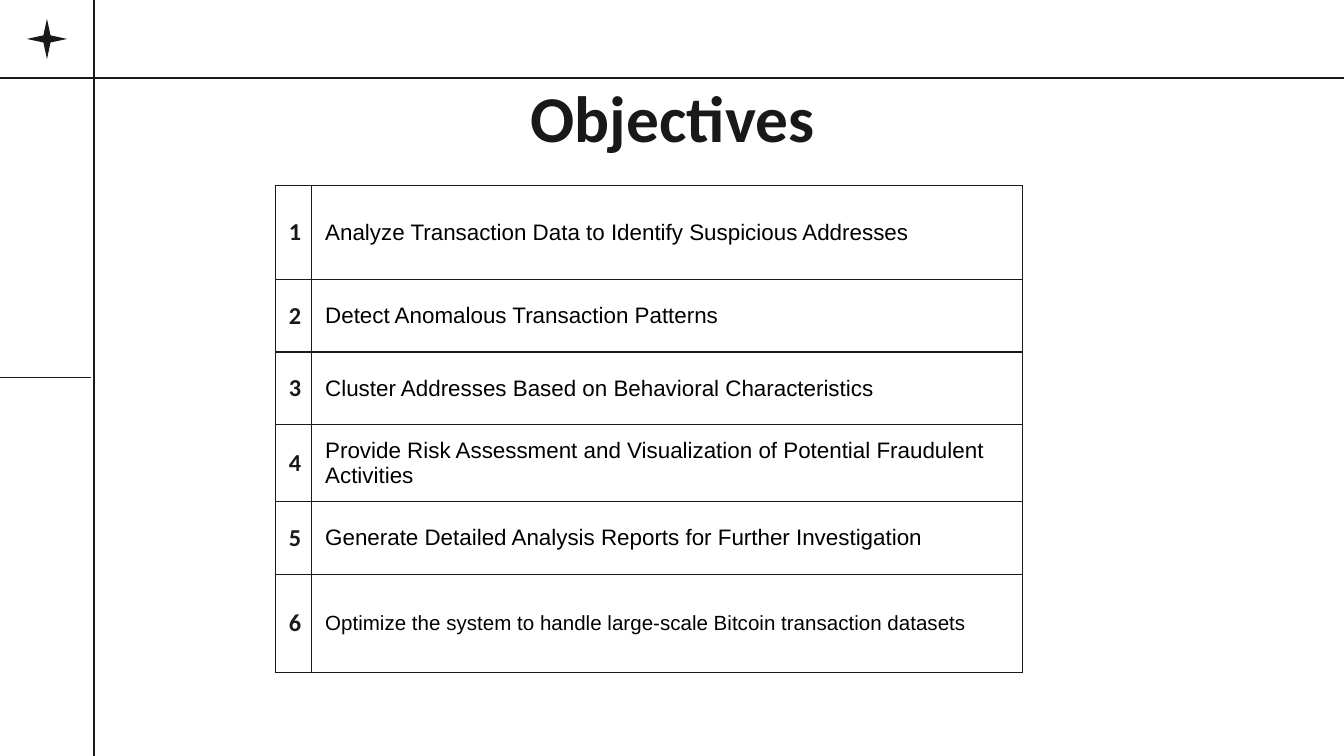
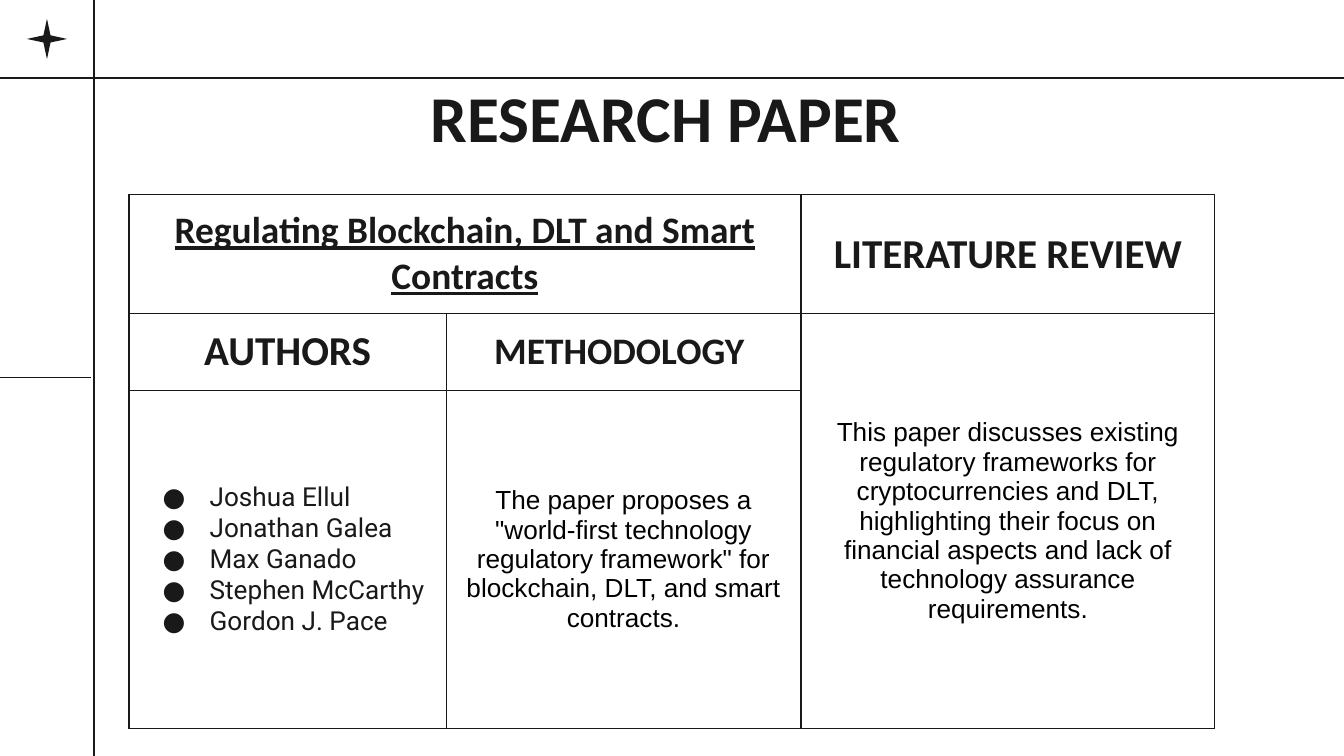
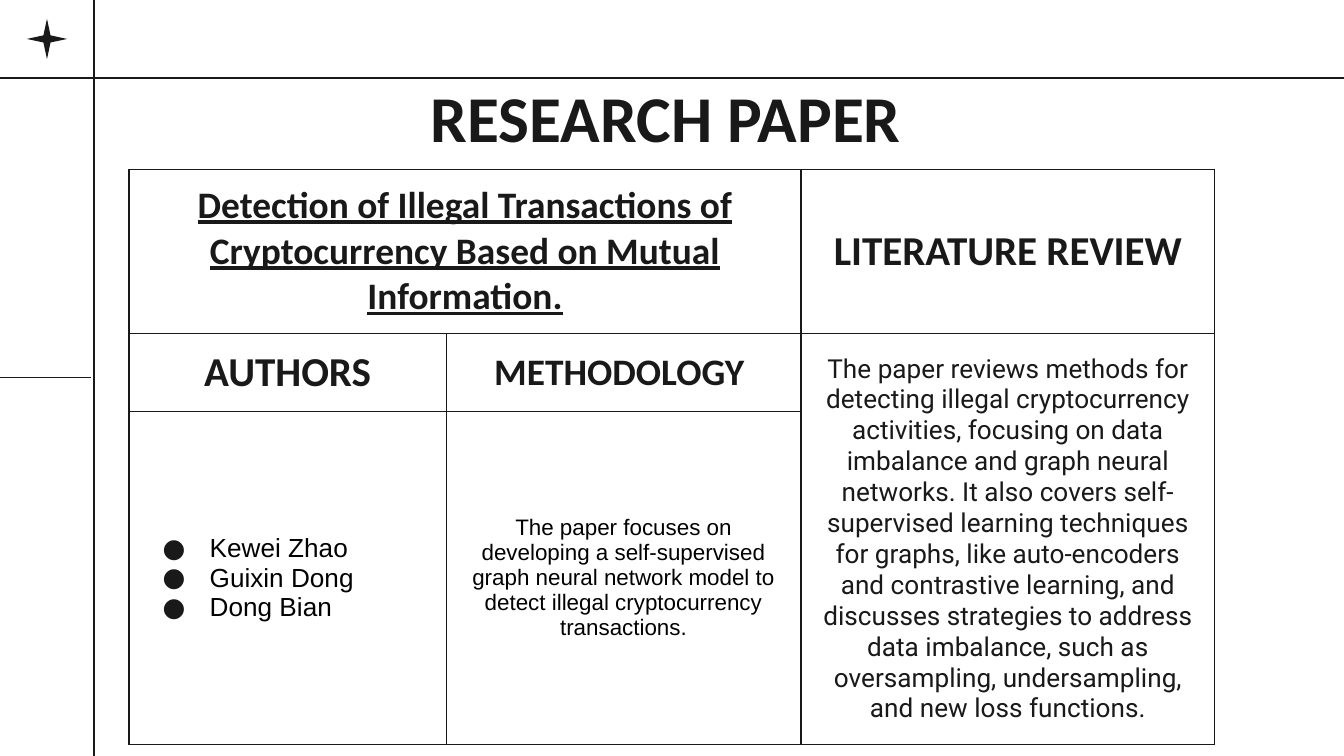
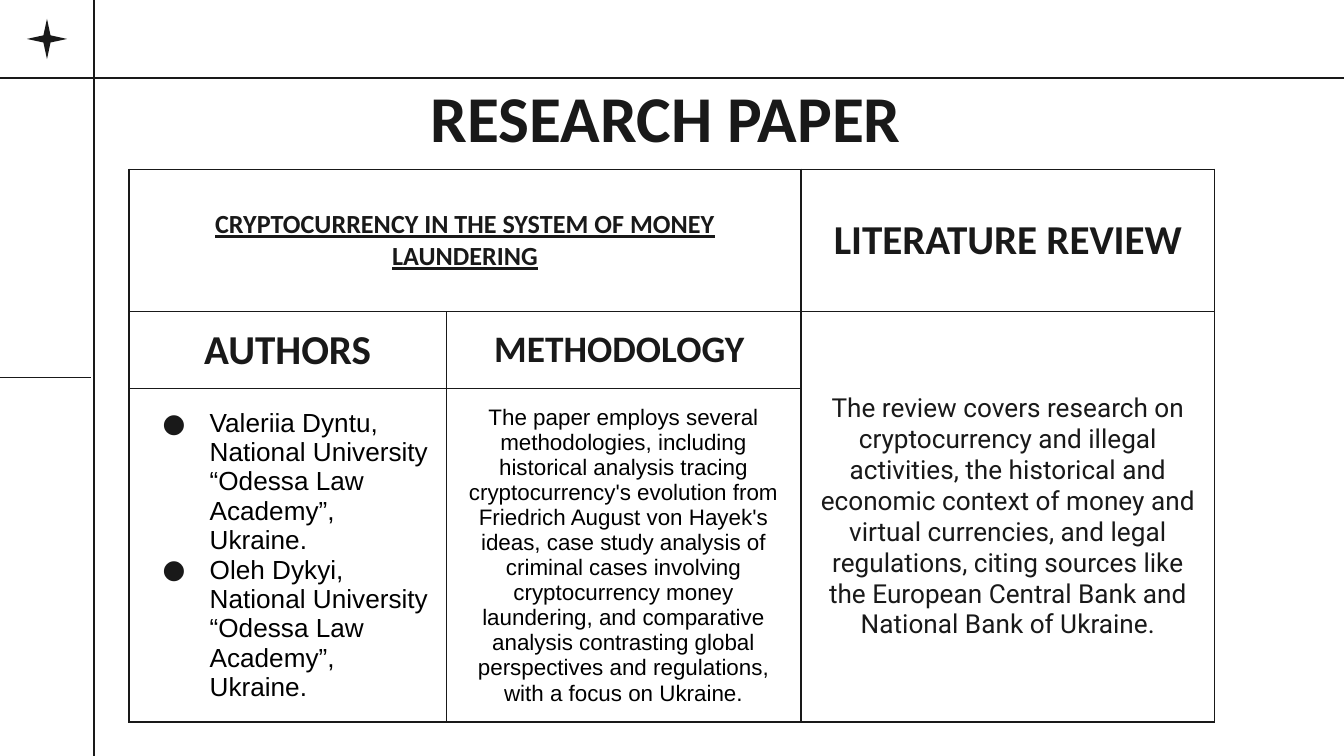
from dataclasses import dataclass

import pptx
import pptx.dml.color
import pptx.enum.shapes
import pptx.enum.text
import pptx.oxml
import pptx.util

Inches = pptx.util.Inches
Pt = pptx.util.Pt
ALIGN = pptx.enum.text.PP_ALIGN
ANCHOR = pptx.enum.text.MSO_ANCHOR

COLORS = {"ink": "191919", "black": "000000", "paper": "FFFFFF"}
LINE_WIDTH = 0.75
TITLE_ONLY = 5
FRAME_LINES = [
    (-0.02, 2.81, 0.68, 2.81),
    (-0.04, 0.58, 10.04, 0.58),
    (0.7, -0.03, 0.7, 5.66),
]
NS = 'xmlns:a="http://schemas.openxmlformats.org/drawingml/2006/main"'


@dataclass(frozen=True)
class TextStyle:
    font: str
    size: float
    color: str = "ink"
    bold: bool = False
    underline: bool = False
    align: ALIGN = ALIGN.CENTER
    space_after: float | None = None
    bullet: bool = False


@dataclass(frozen=True)
class CellText:
    row: int
    col: int
    lines: list[str]
    style: TextStyle


@dataclass(frozen=True)
class Paper:
    top: float
    rows: list[float]
    name: list[str]
    name_size: float
    authors: list[str]
    author_font: tuple[str, str]
    method: str
    method_size: float
    review: str
    review_font: tuple[str, str]


TITLE = TextStyle("Calibri", 35, bold=True)
HEADING = TextStyle("Calibri", 22, bold=True)
SUBHEADING = TextStyle("Calibri", 20, bold=True)
NUMBER = TextStyle("Calibri", 13, bold=True, align=ALIGN.LEFT)
ARIAL = ("Arial", "black")
ROBOTO = ("Roboto", "ink")

OBJECTIVE_COLS = [0.27, 5.29]
OBJECTIVE_ROWS = [0.7, 0.54, 0.54, 0.54, 0.54, 0.73]
OBJECTIVES = [
    ("Analyze Transaction Data to Identify Suspicious Addresses", 12, 16),
    ("Detect Anomalous Transaction Patterns", 12, 16),
    ("Cluster Addresses Based on Behavioral Characteristics", 12, 16),
    ("Provide Risk Assessment and Visualization of Potential Fraudulent Activities", 12, 16),
    ("Generate Detailed Analysis Reports for Further Investigation", 12, None),
    ("Optimize the system to handle large-scale Bitcoin transaction datasets", 11, 16),
]

PAPER_COLS = [2.36, 2.64, 3.08]
PAPERS = [
    Paper(
        top=1.45, rows=[0.82, 0.5, 2.52],
        name=["Regulating Blockchain, DLT and Smart Contracts"], name_size=20,
        authors=["Joshua Ellul", "Jonathan Galea", "Max Ganado", "Stephen McCarthy",
                 "Gordon J. Pace"],
        author_font=ROBOTO,
        method='The paper proposes a "world-first technology regulatory framework" for '
               "blockchain, DLT, and smart contracts.",
        method_size=14,
        review="This paper discusses existing regulatory frameworks for cryptocurrencies and "
               "DLT, highlighting their focus on financial aspects and lack of technology "
               "assurance requirements.",
        review_font=ARIAL,
    ),
    Paper(
        top=1.26, rows=[1.22, 0.58, 2.48],
        name=["Detection of Illegal Transactions of", "Cryptocurrency Based on Mutual",
              "Information."],
        name_size=20,
        authors=["Kewei Zhao", "Guixin Dong", "Dong Bian"],
        author_font=ARIAL,
        method="The paper focuses on developing a self-supervised graph neural network model "
               "to detect illegal cryptocurrency transactions.",
        method_size=12,
        review="The paper reviews methods for detecting illegal cryptocurrency activities, "
               "focusing on data imbalance and graph neural networks. It also covers "
               "self-supervised learning techniques for graphs, like auto-encoders and "
               "contrastive learning, and discusses strategies to address data imbalance, "
               "such as oversampling, undersampling, and new loss functions.",
        review_font=ROBOTO,
    ),
    Paper(
        top=1.26, rows=[1.06, 0.57, 2.48],
        name=["CRYPTOCURRENCY IN THE SYSTEM OF MONEY LAUNDERING"], name_size=14,
        authors=["Valeriia Dyntu, National University “Odessa Law Academy”, Ukraine.",
                 "Oleh Dykyi, National University “Odessa Law Academy”, Ukraine."],
        author_font=ARIAL,
        method="The paper employs several methodologies, including historical analysis "
               "tracing cryptocurrency's evolution from Friedrich August von Hayek's ideas, "
               "case study analysis of criminal cases involving cryptocurrency money "
               "laundering, and comparative analysis contrasting global perspectives and "
               "regulations, with a focus on Ukraine.",
        method_size=12,
        review="The review covers research on cryptocurrency and illegal activities, the "
               "historical and economic context of money and virtual currencies, and legal "
               "regulations, citing sources like the European Central Bank and National Bank "
               "of Ukraine.",
        review_font=ROBOTO,
    ),
]


def rgb(name: str) -> pptx.dml.color.RGBColor:
    return pptx.dml.color.RGBColor.from_string(COLORS[name])


def set_attrs(target, values: dict) -> None:
    for name, value in values.items():
        setattr(target, name, value)


def add_bullet(p) -> None:
    pPr = p._p.get_or_add_pPr()
    pPr.set("marL", str(Inches(0.5)))
    pPr.set("indent", str(Inches(-0.35)))
    for xml in (f'<a:buClr {NS}><a:srgbClr val="{COLORS["ink"]}"/></a:buClr>',
                f'<a:buFont {NS} typeface="Roboto"/>',
                f'<a:buChar {NS} char="●"/>'):
        pPr.append(pptx.oxml.parse_xml(xml))


def write(tf, lines: list[str], style: TextStyle) -> None:
    for i, line in enumerate(lines):
        p = tf.paragraphs[0] if i == 0 else tf.add_paragraph()
        p.alignment = style.align
        if style.space_after is not None:
            p.space_after = Pt(style.space_after)
        if style.bullet:
            add_bullet(p)
        r = p.add_run()
        r.text = line
        set_attrs(r.font, {"name": style.font, "size": Pt(style.size),
                           "bold": style.bold, "underline": style.underline})
        r.font.color.rgb = rgb(style.color)


def add_frame(s) -> None:
    """Draw the rules and the star, then hand them to the slide's layout."""
    layout = s.slide_layout
    for sp in list(layout.placeholders):
        if sp.placeholder_format.idx != 0:
            layout.shapes.element.remove(sp.element)
    frame = []
    for ends in FRAME_LINES:
        rule = s.shapes.add_connector(pptx.enum.shapes.MSO_CONNECTOR.STRAIGHT,
                                      *map(Inches, ends))
        rule.line.color.rgb = rgb("ink")
        rule.line.width = Pt(LINE_WIDTH)
        rule.element.spPr.append(pptx.oxml.parse_xml(f"<a:effectLst {NS}/>"))
        frame.append(rule)
    star = s.shapes.add_shape(pptx.enum.shapes.MSO_SHAPE.STAR_4_POINT,
                              *map(Inches, (0.2, 0.14, 0.3, 0.3)))
    star.adjustments[0] = 0.125
    star.shadow.inherit = False
    star.fill.solid()
    star.fill.fore_color.rgb = rgb("ink")
    star.line.fill.background()
    for sp in [*frame, star]:
        layout.shapes.element.append(sp.element)


def add_titled_slide(prs, title: str, left_inset: float = 0):
    s = prs.slides.add_slide(prs.slide_layouts[TITLE_ONLY])
    sp = s.shapes.title
    set_attrs(sp, {"left": Inches(0.79), "top": Inches(0.58),
                   "width": Inches(8.43), "height": Inches(0.68)})
    tf = sp.text_frame
    set_attrs(tf, {"margin_left": Inches(left_inset), "margin_right": Inches(0.1),
                   "margin_top": Inches(0.1), "margin_bottom": Inches(0.1),
                   "vertical_anchor": ANCHOR.BOTTOM, "word_wrap": True,
                   "auto_size": pptx.enum.text.MSO_AUTO_SIZE.NONE})
    write(tf, [title], TITLE)
    return s


def format_cell(cell) -> None:
    """Give a cell even margins, no fill and a thin line on each side."""
    set_attrs(cell, {f"margin_{side}": Inches(0.1)
                     for side in ("left", "right", "top", "bottom")})
    cell.vertical_anchor = ANCHOR.MIDDLE
    cell.fill.background()
    tcPr = cell._tc.get_or_add_tcPr()
    for i, side in enumerate("LRTB"):
        tcPr.insert(i, pptx.oxml.parse_xml(
            f'<a:ln{side} {NS} w="{Pt(LINE_WIDTH)}"><a:solidFill>'
            f'<a:srgbClr val="{COLORS["ink"]}"/></a:solidFill></a:ln{side}>'))


def add_grid(s, left: float, top: float, cols: list[float], rows: list[float],
             texts: list[CellText], merges: tuple = ()) -> None:
    sp = s.shapes.add_table(len(rows), len(cols), Inches(left), Inches(top),
                            Inches(sum(cols)), Inches(sum(rows)))
    table = sp.table
    set_attrs(table, {"first_row": False, "horz_banding": False})
    for col, width in zip(table.columns, cols):
        col.width = Inches(width)
    for row, height in zip(table.rows, rows):
        row.height = Inches(height)
    for start, end in merges:
        table.cell(*start).merge(table.cell(*end))
    for cell in table.iter_cells():
        format_cell(cell)
    for text in texts:
        write(table.cell(text.row, text.col).text_frame, text.lines, text.style)


def add_objectives(prs) -> None:
    s = add_titled_slide(prs, "Objectives", left_inset=0.1)
    add_frame(s)
    texts = []
    for i, (objective, size, after) in enumerate(OBJECTIVES):
        style = TextStyle("Arial", size, "black", align=ALIGN.LEFT, space_after=after)
        texts += [CellText(i, 0, [str(i + 1)], NUMBER), CellText(i, 1, [objective], style)]
    add_grid(s, 2.05, 1.38, OBJECTIVE_COLS, OBJECTIVE_ROWS, texts)


def add_paper(prs, paper: Paper) -> None:
    s = add_titled_slide(prs, "RESEARCH PAPER")
    name_style = TextStyle("Calibri", paper.name_size, bold=True, underline=True)
    author_font, author_color = paper.author_font
    review_font, review_color = paper.review_font
    texts = [
        CellText(0, 0, paper.name, name_style),
        CellText(0, 2, ["LITERATURE REVIEW"], HEADING),
        CellText(1, 0, ["AUTHORS"], HEADING),
        CellText(1, 1, ["METHODOLOGY "], SUBHEADING),
        CellText(1, 2, [paper.review], TextStyle(review_font, 14, review_color)),
        CellText(2, 0, paper.authors,
                 TextStyle(author_font, 14, author_color, align=ALIGN.LEFT, bullet=True)),
        CellText(2, 1, [paper.method], TextStyle("Arial", paper.method_size, "black")),
    ]
    add_grid(s, 0.96, paper.top, PAPER_COLS, paper.rows, texts,
             merges=(((0, 0), (0, 1)), ((1, 2), (2, 2))))


def main() -> None:
    prs = pptx.Presentation()
    prs.slide_width = Inches(10)
    prs.slide_height = prs.slide_width * 9 // 16
    fill = prs.slide_master.background.fill
    fill.solid()
    fill.fore_color.rgb = rgb("paper")
    add_objectives(prs)
    for paper in PAPERS:
        add_paper(prs, paper)
    prs.save("out.pptx")


if __name__ == "__main__":
    main()
